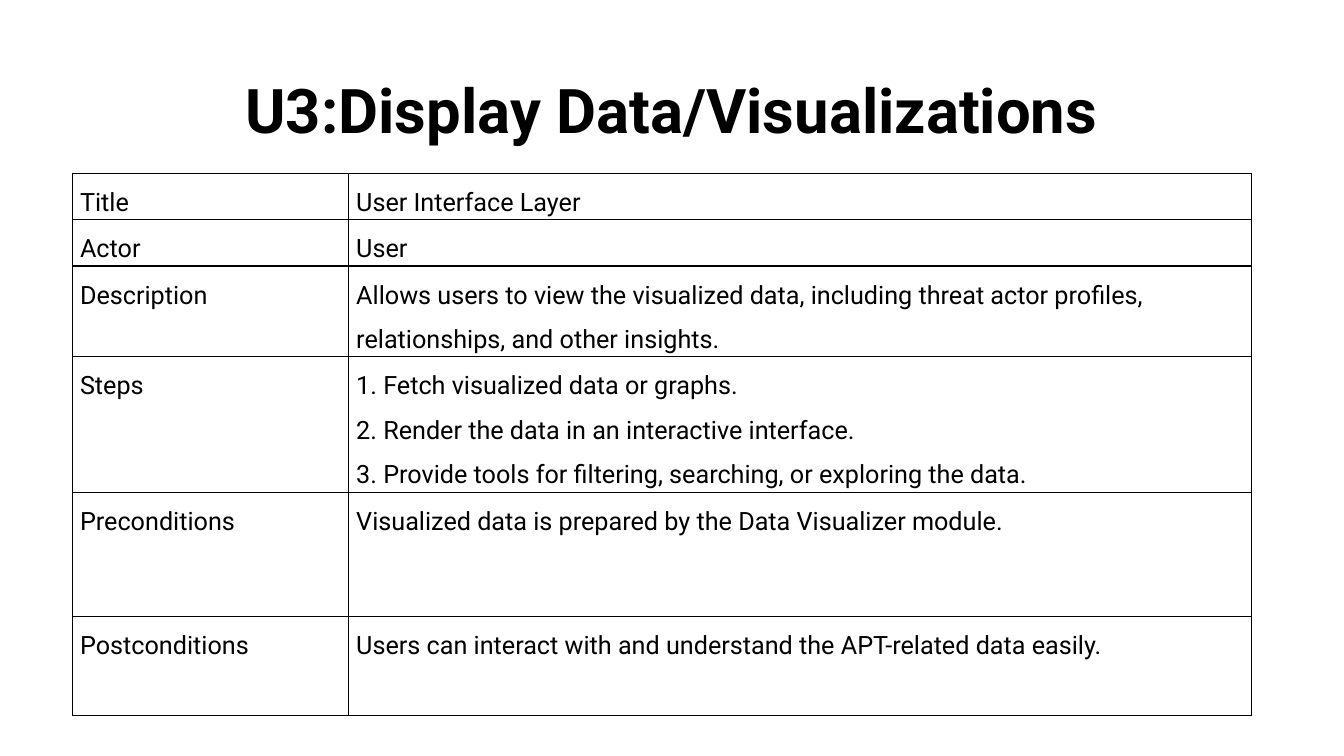
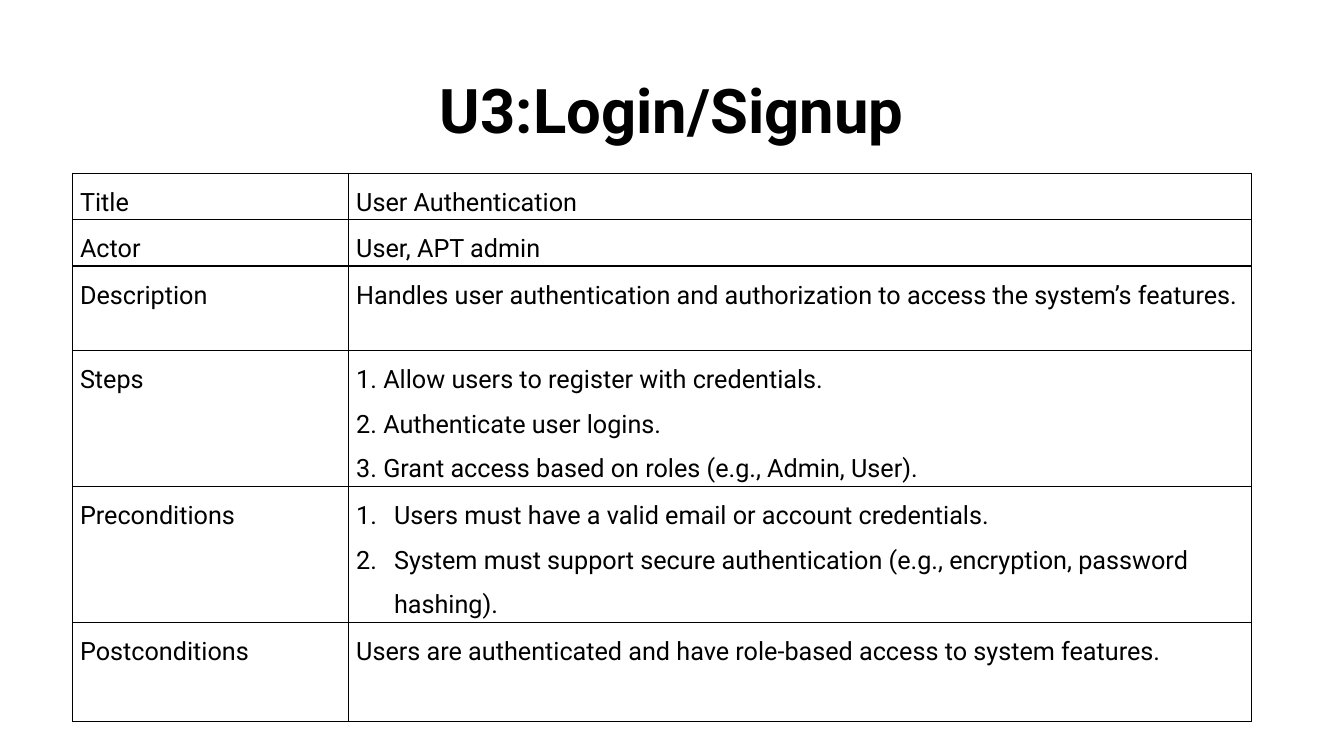
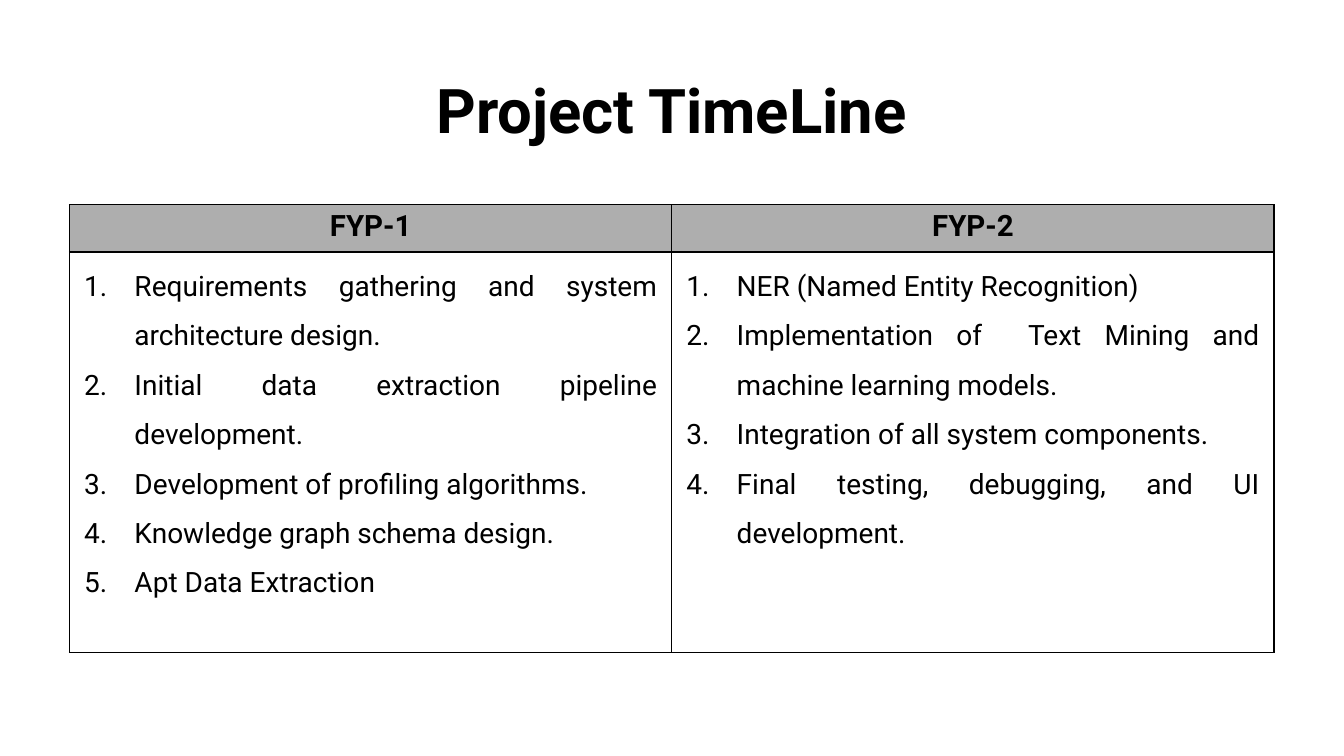
from dataclasses import dataclass

from lxml import etree
from pptx import Presentation
from pptx.dml.color import RGBColor
from pptx.enum.text import MSO_ANCHOR, PP_ALIGN
from pptx.oxml.ns import qn
from pptx.util import Pt

LEFT, CENTER, JUSTIFY = PP_ALIGN.LEFT, PP_ALIGN.CENTER, PP_ALIGN.JUSTIFY
MIDDLE = MSO_ANCHOR.MIDDLE
BLANK = 6


@dataclass(frozen=True)
class Theme:
    font: str = "Roboto"
    ink: str = "000000"
    band: str = "AEAEAE"
    title: int = 44
    head: int = 21
    item: int = 20
    body: int = 18
    rule: int = 1


THEME = Theme()

# Paragraph formats: size, weight, and paragraph attributes
TITLE = {"size": THEME.title, "bold": True,
         "para": {"alignment": CENTER, "line_spacing": 0.9}}
BODY = {"size": THEME.body, "bold": False,
        "para": {"alignment": LEFT, "line_spacing": 1.5}}
HEAD = {"size": THEME.head, "bold": True,
        "para": {"alignment": CENTER, "line_spacing": 1.07}}
ITEM = {"size": THEME.item, "bold": False,
        "para": {"alignment": JUSTIFY, "line_spacing": 1.5}}

# Cell margins
CASE_PAD = {"margin_left": Pt(5.4), "margin_right": Pt(5.4),
            "margin_top": 0, "margin_bottom": 0}
PLAN_PAD = {"margin_left": Pt(10.4), "margin_right": Pt(10.4),
            "margin_top": Pt(1.4), "margin_bottom": 0}

# Use-case content
LABELS = ["Title", "Actor", "Description", "Steps", "Preconditions",
          "Postconditions"]
CASE_ROWS = [33.1, 33.1, 60.5, 88.6, 88.6, 70.6]
CASES = {
    "U3:Display Data/Visualizations": [
        "User Interface Layer",
        "User",
        "Allows users to view the visualized data, including threat actor "
        "profiles, relationships, and other insights.",
        "1. Fetch visualized data or graphs.\n"
        "2. Render the data in an interactive interface.\n"
        "3. Provide tools for filtering, searching, or exploring the data.",
        "Visualized data is prepared by the Data Visualizer module.",
        "Users can interact with and understand the APT-related data easily.",
    ],
    "U3:Login/Signup": [
        "User Authentication",
        "User, APT admin",
        "Handles user authentication and authorization to access the "
        "system’s features.",
        "1. Allow users to register with credentials.\n"
        "2. Authenticate user logins.\n"
        "3. Grant access based on roles (e.g., Admin, User).",
        ["Users must have a valid email or account credentials.",
         "System must support secure authentication (e.g., encryption, "
         "password hashing)."],
        "Users are authenticated and have role-based access to system "
        "features.",
    ],
}

# Timeline content
PLAN = {
    "FYP-1": ["Requirements gathering and system architecture design.",
              "Initial data extraction pipeline development.",
              "Development of profiling algorithms.",
              "Knowledge graph schema design.",
              "Apt Data Extraction"],
    "FYP-2": ["NER (Named Entity Recognition)",
              "Implementation of  Text Mining and machine learning models.",
              "Integration of all system components.",
              "Final testing, debugging, and UI development."],
}


def apply(obj, values):
    for name, value in values.items():
        setattr(obj, name, value)


def number(para, indent):
    """Give a paragraph an automatic number with a hanging indent."""
    props = para._p.get_or_add_pPr()
    props.set("marL", str(Pt(indent)))
    props.set("indent", str(-Pt(indent)))
    etree.SubElement(props, qn("a:buFont"), typeface="+mj-lt")
    etree.SubElement(props, qn("a:buAutoNum"), type="arabicPeriod")


def write(frame, text, form, indent=0):
    """Fill a frame with one text, or with a numbered list of texts."""
    listed = isinstance(text, list)
    lines = text if listed else [text]
    for i, line in enumerate(lines):
        para = frame.add_paragraph() if i else frame.paragraphs[0]
        para.text = line
        apply(para, form["para"])
        if listed:
            number(para, indent)
        for run in para.runs:
            apply(run.font, {"name": THEME.font, "size": Pt(form["size"]),
                             "bold": form["bold"]})
            run.font.color.rgb = RGBColor.from_string(THEME.ink)
    para.space_after = Pt(8)


def border(cell):
    """Rule all four sides of a cell."""
    props = cell._tc.get_or_add_tcPr()
    for side in ("lnL", "lnR", "lnT", "lnB"):
        line = etree.SubElement(props, qn("a:" + side), w=str(Pt(THEME.rule)))
        fill = etree.SubElement(line, qn("a:solidFill"))
        etree.SubElement(fill, qn("a:srgbClr"), val=THEME.ink)


def put(cell, text, form, pad, indent=0, fill=None):
    apply(cell, pad)
    border(cell)
    if fill:
        cell.fill.solid()
        cell.fill.fore_color.rgb = RGBColor.from_string(fill)
    else:
        cell.fill.background()
    write(cell.text_frame, text, form, indent)


def grid(slide, left, top, cols, rows):
    """Add a plain table with the given column widths and row heights."""
    table = slide.shapes.add_table(
        len(rows), len(cols), Pt(left), Pt(top),
        Pt(sum(cols)), Pt(sum(rows))).table
    apply(table, {"first_row": False, "horz_banding": False})
    for col, width in zip(table.columns, cols):
        col.width = Pt(width)
    for row, height in zip(table.rows, rows):
        row.height = Pt(height)
    return table


def page(deck, title):
    """Add a slide with the shared title."""
    slide = deck.slides.add_slide(deck.slide_layouts[BLANK])
    box = slide.shapes.add_textbox(Pt(66), Pt(28.8), Pt(828), Pt(104.4))
    apply(box.text_frame, {"word_wrap": True, "vertical_anchor": MIDDLE})
    write(box.text_frame, title, TITLE)
    return slide


def case(deck, title, texts):
    """Add a use-case slide: labels on the left, texts on the right."""
    table = grid(page(deck, title), 51.8, 123.8, [197.3, 645.1], CASE_ROWS)
    for r, pair in enumerate(zip(LABELS, texts)):
        for c, text in enumerate(pair):
            put(table.cell(r, c), text, BODY, CASE_PAD, indent=27)


def plan(deck, title, phases):
    """Add a timeline slide: one column for each phase."""
    cols = [430.2] * len(phases)
    table = grid(page(deck, title), 49.7, 146.2, cols, [33.8, 286])
    for c, (name, items) in enumerate(phases.items()):
        put(table.cell(0, c), name, HEAD, PLAN_PAD, fill=THEME.band)
        put(table.cell(1, c), items, ITEM, PLAN_PAD, indent=36)


def main():
    deck = Presentation()
    apply(deck, {"slide_width": Pt(960), "slide_height": Pt(540)})
    for title, texts in CASES.items():
        case(deck, title, texts)
    plan(deck, "Project TimeLine", PLAN)
    deck.save("out.pptx")


if __name__ == "__main__":
    main()
